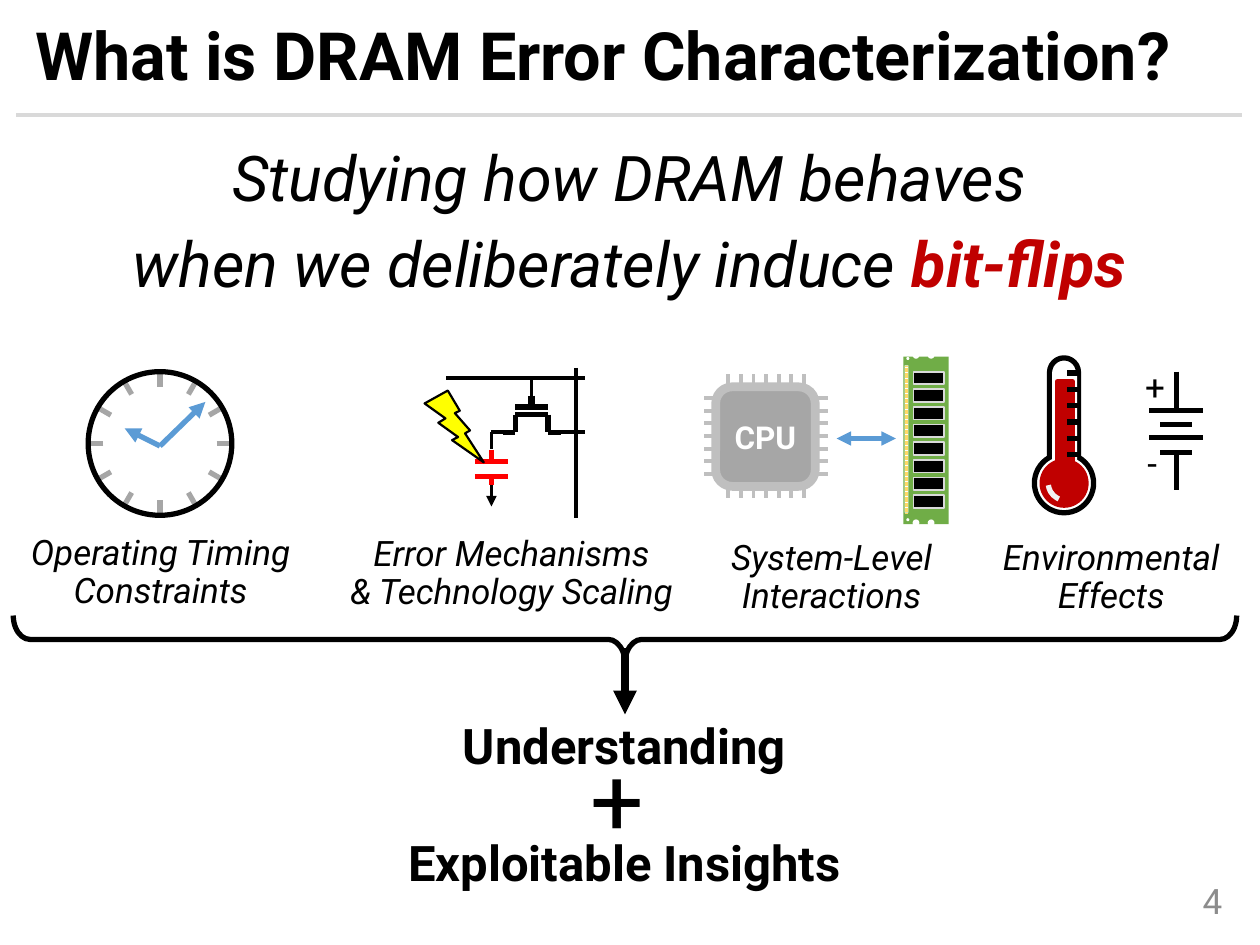
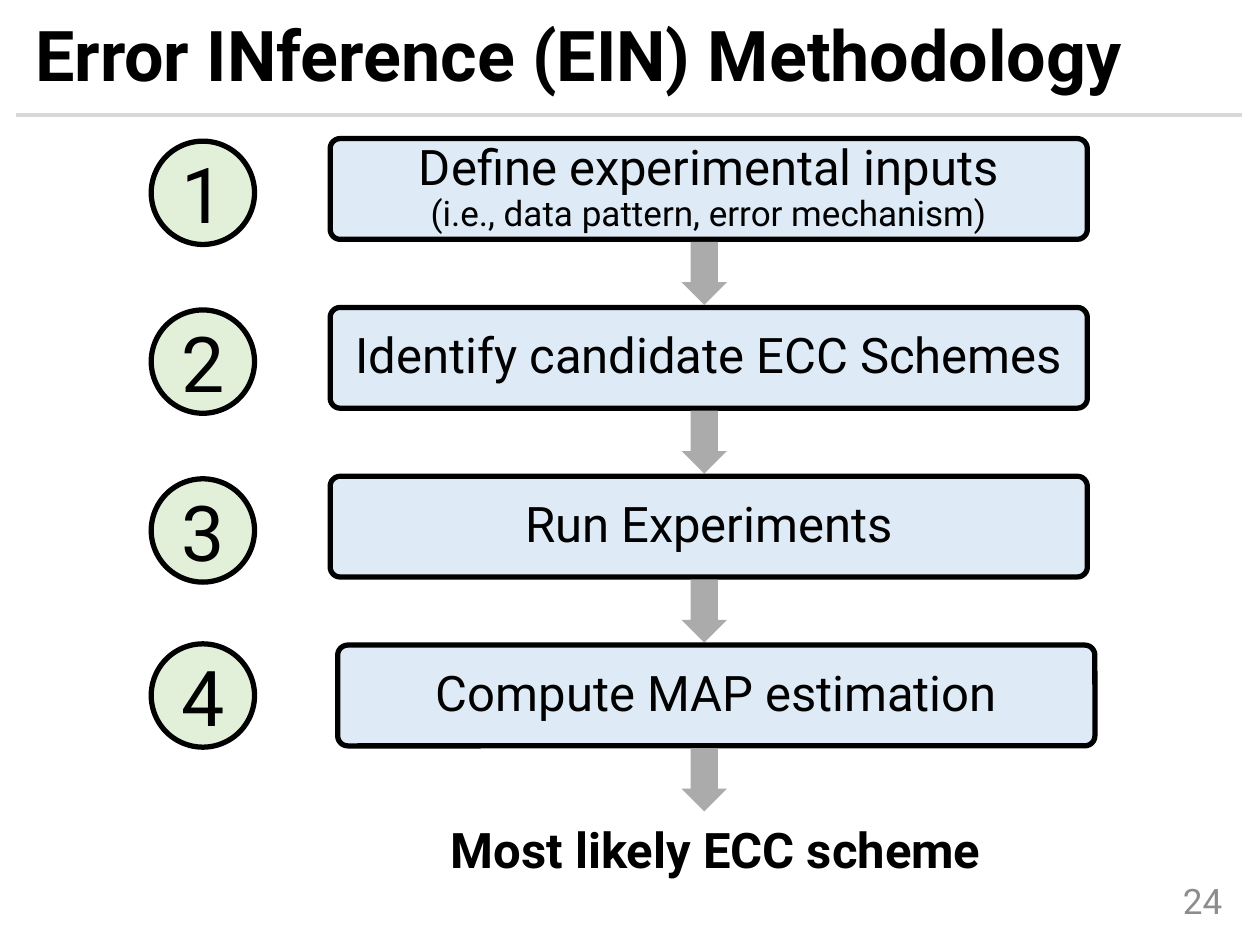
import math

from lxml import etree
from pptx import Presentation
from pptx import util as u
from pptx.dml import color
from pptx.enum import dml, shapes, text
from pptx.oxml import ns

FONT = "Roboto"
COLORS = {
    "black": "000000", "white": "FFFFFF", "rule": "D9D9D9", "number": "8C8C8C",
    "red": "C00000", "capacitor": "FF0000", "bolt": "FFFF00", "blue": "5B9BD5",
    "tick": "A6A6A6", "pin": "BFBFBF", "board": "70AD47", "gold": "FFD966",
    "shine": "F2F2F2", "step": "DEEBF7", "badge": "E2F0D9", "arrow": "ABABAB",
}
SHAPE = shapes.MSO_SHAPE
ALIGN = text.PP_ALIGN
ANCHOR = text.MSO_ANCHOR
STEP_PITCH = 1.34


def rgb(name):
    return color.RGBColor.from_string(COLORS[name])


def inches(*lengths):
    return [u.Inches(length) for length in lengths]


def spread(start, gap, count):
    return [start + gap * index for index in range(count)]


def style_span(span, size, tone="black", bold=False, italic=False):
    font = span.font
    font.name, font.size = FONT, u.Pt(size)
    font.bold, font.italic = bold, italic
    font.color.rgb = rgb(tone)


def write(frame, lines, size, align=ALIGN.CENTER, anchor=ANCHOR.TOP,
          spacing=0.9, gap=0, **style):
    frame.word_wrap = True
    frame.auto_size = text.MSO_AUTO_SIZE.NONE
    frame.vertical_anchor = anchor
    frame.text = "\n".join(lines)
    for index, para in enumerate(frame.paragraphs):
        para.alignment = align
        para.line_spacing = spacing
        para.space_before = u.Pt(gap if index else 0)
        for span in para.runs:
            style_span(span, size, **style)


def add_text(parent, place, lines, size, **style):
    box = parent.add_textbox(*inches(*place))
    write(box.text_frame, lines, size, **style)
    return box


def add_caption(parent, place, *lines):
    add_text(parent, place, lines, 20, italic=True)


def add_shape(parent, kind, place, fill=None, line=None, width=3, adjust=()):
    shape = parent.add_shape(kind, *inches(*place))
    shape.shadow.inherit = False
    for index, value in enumerate(adjust):
        shape.adjustments[index] = value
    if fill:
        shape.fill.solid()
        shape.fill.fore_color.rgb = rgb(fill)
    else:
        shape.fill.background()
    if line:
        shape.line.color.rgb = rgb(line)
        shape.line.width = u.Pt(width)
    else:
        shape.line.fill.background()
    return shape


def label(shape, lines, size, **style):
    frame = shape.text_frame
    frame.margin_left = frame.margin_right = 0
    frame.margin_top = frame.margin_bottom = 0
    write(frame, lines, size, anchor=ANCHOR.MIDDLE, **style)


def add_line(parent, start, end, tone="black", width=3, heads=()):
    line = parent.add_connector(shapes.MSO_CONNECTOR.STRAIGHT, *inches(*start, *end))
    line.line.color.rgb = rgb(tone)
    line.line.width = u.Pt(width)
    outline = line.line._get_or_add_ln()
    for head in heads:
        etree.SubElement(outline, ns.qn(f"a:{head}"), type="triangle")
    etree.SubElement(line._element.spPr, ns.qn("a:effectLst"))


def add_page(deck, title, size, number):
    page = deck.slides.add_slide(deck.slide_layouts.get_by_name("Title Only"))
    heading = page.shapes.title
    heading.left, heading.top, heading.width, heading.height = inches(0.18, 0.14, 9.73, 0.66)
    write(heading.text_frame, [title], size, align=ALIGN.LEFT,
          anchor=ANCHOR.MIDDLE, bold=True)
    add_line(page.shapes, (0.13, 0.91), (9.86, 0.91), "rule", 2.25)
    add_text(page.shapes, (8.72, 6.95, 1.08, 0.4), [str(number)], 20,
             align=ALIGN.RIGHT, anchor=ANCHOR.MIDDLE, spacing=1, tone="number")
    return page


def add_group(page):
    return page.shapes.add_group_shape().shapes


def draw_clock(icon):
    x, y = 1.27, 3.52
    add_caption(icon, (0.04, 4.2, 2.47, 0.79), "Operating Timing Constraints")
    for hour in range(12):
        angle = math.radians(30 * hour)
        inner, outer = [(x + radius * math.cos(angle), y + radius * math.sin(angle))
                        for radius in (0.45, 0.57)]
        add_line(icon, inner, outer, "tick")
    add_shape(icon, SHAPE.OVAL, (x - 0.57, y - 0.57, 1.14, 1.14), line="black")
    for tip in ((1.63, 3.19), (0.99, 3.4)):
        add_line(icon, (x, 3.54), tip, "blue", heads=["tailEnd"])


def draw_memory_cell(icon):
    wires = [((3.54, 3), (4.64, 3)), ((4.57, 2.92), (4.57, 4.11)),
             ((4.22, 3), (4.22, 3.17)), ((4.45, 3.43), (4.64, 3.43)),
             ((3.99, 3.43), (3.9, 3.43)), ((3.9, 3.43), (3.9, 3.56))]
    transistor = [((4.09, 3.23), (4.35, 3.23)), ((4.09, 3.29), (4.35, 3.29)),
                  ((4.09, 3.29), (4.09, 3.43)), ((4.35, 3.29), (4.35, 3.43)),
                  ((3.99, 3.43), (4.09, 3.43)), ((4.35, 3.43), (4.45, 3.43))]
    capacitor = [((3.9, 3.57), (3.9, 3.65)), ((3.77, 3.66), (4.03, 3.66)),
                 ((3.77, 3.78), (4.03, 3.78)), ((3.9, 3.79), (3.9, 3.85))]
    for start, end in wires:
        add_line(icon, start, end, width=2)
    for start, end in transistor:
        add_line(icon, start, end)
    add_line(icon, (4.22, 3.14), (4.22, 3.22), width=4)
    add_line(icon, (3.9, 3.85), (3.9, 4.02), width=2, heads=["tailEnd"])
    for start, end in capacitor:
        add_line(icon, start, end, "capacitor")
    add_caption(icon, (2.62, 4.21, 2.88, 0.38), "Error Mechanisms", "& Technology Scaling")
    add_shape(icon, SHAPE.LIGHTNING_BOLT, (3.37, 3.1, 0.47, 0.57), "bolt", "black", 1.25)


def draw_memory_module(icon):
    add_shape(icon, SHAPE.RECTANGLE, (7.17, 2.83, 0.36, 1.33), "board")
    for hole_top, dot_top in ((2.8, 2.84), (4.13, 4.12)):
        for left in (7.25, 7.37):
            add_shape(icon, SHAPE.OVAL, (left, hole_top, 0.04, 0.04), "white", "white", 1)
        add_shape(icon, SHAPE.OVAL, (7.2, dot_top, 0.01, 0.01), "white", "white", 1)
    for top in spread(2.95, 0.14, 8):
        add_shape(icon, SHAPE.RECTANGLE, (7.25, top, 0.24, 0.1), "black", "rule", 1)
    contacts = add_shape(icon, SHAPE.RECTANGLE, (7.18, 2.9, 0.03, 1.17))
    contacts.fill.patterned()
    contacts.fill.pattern = dml.MSO_PATTERN.DARK_HORIZONTAL
    contacts.fill.fore_color.rgb = rgb("gold")
    contacts.fill.back_color.rgb = rgb("white")


def draw_system(icon):
    x, y, reach = 6.08, 3.46, 0.49
    add_caption(icon, (5.7, 4.24, 1.8, 0.66), "System-Level", "Interactions")
    add_line(icon, (6.64, 3.48), (7.11, 3.48), "blue", 2.75, ["headEnd", "tailEnd"])
    draw_memory_module(icon)
    for offset in spread(-0.3, 0.1, 7):
        add_line(icon, (x - reach, y + offset), (x + reach, y + offset), "pin", 2.25)
        add_line(icon, (x + offset, y - reach), (x + offset, y + reach), "pin", 2.25)
    chip = add_shape(icon, SHAPE.ROUNDED_RECTANGLE, (5.68, 3.07, 0.79, 0.79), "tick", "pin", 5)
    label(chip, ["CPU"], 18, spacing=1, tone="white", bold=True)


def draw_battery(icon):
    for top, left, right in ((3.26, 9.12, 9.55), (3.37, 9.21, 9.46),
                             (3.47, 9.12, 9.55), (3.59, 9.21, 9.46)):
        add_line(icon, (left, top), (right, top))
    for top, bottom in ((2.95, 3.26), (3.59, 3.89)):
        add_line(icon, (9.34, top), (9.34, bottom))
    for sign, top in (("+", 2.89), ("-", 3.49)):
        add_text(icon, (8.99, top, 0.31, 0.39), [sign], 20)


def draw_thermometer(icon):
    add_shape(icon, SHAPE.ROUNDED_RECTANGLE, (8.33, 2.84, 0.23, 1.01), "white", "black",
              adjust=[0.5])
    add_shape(icon, SHAPE.OVAL, (8.21, 3.6, 0.47, 0.47), "white", "black")
    add_shape(icon, SHAPE.RECTANGLE, (8.35, 2.95, 0.2, 0.79), "white")
    add_shape(icon, SHAPE.OVAL, (8.25, 3.64, 0.39, 0.39), "red")
    add_shape(icon, SHAPE.RECTANGLE, (8.39, 3.03, 0.12, 0.79), "red", "red")
    for top in spread(2.96, 0.13, 6):
        add_line(icon, (8.47, top), (8.57, top))
    add_shape(icon, SHAPE.ARC, (8.32, 3.7, 0.27, 0.27), line="shine",
              adjust=[67.21, 103.87])


def draw_environment(icon):
    add_caption(icon, (7.25, 4.24, 3.14, 0.74), "Environmental", "Effects")
    draw_battery(icon)
    draw_thermometer(icon)


def draw_outcome(page):
    bracket = add_group(page)
    brace = add_shape(bracket, SHAPE.RIGHT_BRACE, (4.77, 0.22, 0.38, 9.71), line="black",
                      adjust=[0.35, 0.5])
    brace.rotation = 90
    add_line(bracket, (4.96, 5.14), (4.96, 5.67), width=4.5, heads=["tailEnd"])
    outcome = add_group(page)
    add_text(outcome, (2.09, 5.63, 5.73, 1.49), ["Understanding", "Exploitable Insights"],
             28, spacing=1, gap=33, bold=True)
    plus = add_text(outcome, (4.59, 5.83, 0.74, 1.01), ["+"], 54,
                    align=ALIGN.LEFT, spacing=1)
    plus.text_frame.word_wrap = False


def build_characterization(deck):
    page = add_page(deck, "What is DRAM Error Characterization?", 38, 4)
    definition = add_text(page.shapes, (0.08, 1.12, 9.83, 1.42),
                          ["Studying how DRAM behaves", "when we deliberately induce "],
                          36, gap=10, italic=True)
    span = definition.text_frame.paragraphs[1].add_run()
    span.text = "bit-flips"
    style_span(span, 36, "red", bold=True, italic=True)
    for draw in (draw_memory_cell, draw_environment, draw_system, draw_clock):
        draw(add_group(page))
    draw_outcome(page)


def add_step(page, index, left, badge_top, lines):
    top = 1.1 + STEP_PITCH * index
    panel = add_shape(page.shapes, SHAPE.ROUNDED_RECTANGLE, (left, top, 6.01, 0.8),
                      "step", "black", adjust=[0.1])
    label(panel, lines, 28)
    for para in panel.text_frame.paragraphs[1:]:
        style_span(para.runs[0], 20)
    badge = add_shape(page.shapes, SHAPE.OVAL, (1.2, badge_top, 0.82, 0.82), "badge", "black")
    label(badge, [str(index + 1)], 44, spacing=1)
    add_shape(page.shapes, SHAPE.DOWN_ARROW, (5.41, top + 0.82, 0.36, 0.5), "arrow",
              adjust=[0.6, 0.5])


def build_methodology(deck):
    page = add_page(deck, "Error INference (EIN) Methodology", 40, 24)
    steps = [
        (2.62, 1.12, ["Define experimental inputs", "(i.e., data pattern, error mechanism)"]),
        (2.62, 2.46, ["Identify candidate ECC Schemes"]),
        (2.62, 3.8, ["Run Experiments"]),
        (2.68, 5.11, ["Compute MAP estimation"]),
    ]
    for index, step in enumerate(steps):
        add_step(page, index, *step)
    add_text(page.shapes, (3.43, 6.51, 4.5, 0.52), ["Most likely ECC scheme"], 28,
             anchor=ANCHOR.MIDDLE, bold=True)


def main():
    deck = Presentation()
    deck.slide_width, deck.slide_height = inches(10, 7.5)
    build_characterization(deck)
    build_methodology(deck)
    deck.save("out.pptx")


if __name__ == "__main__":
    main()
